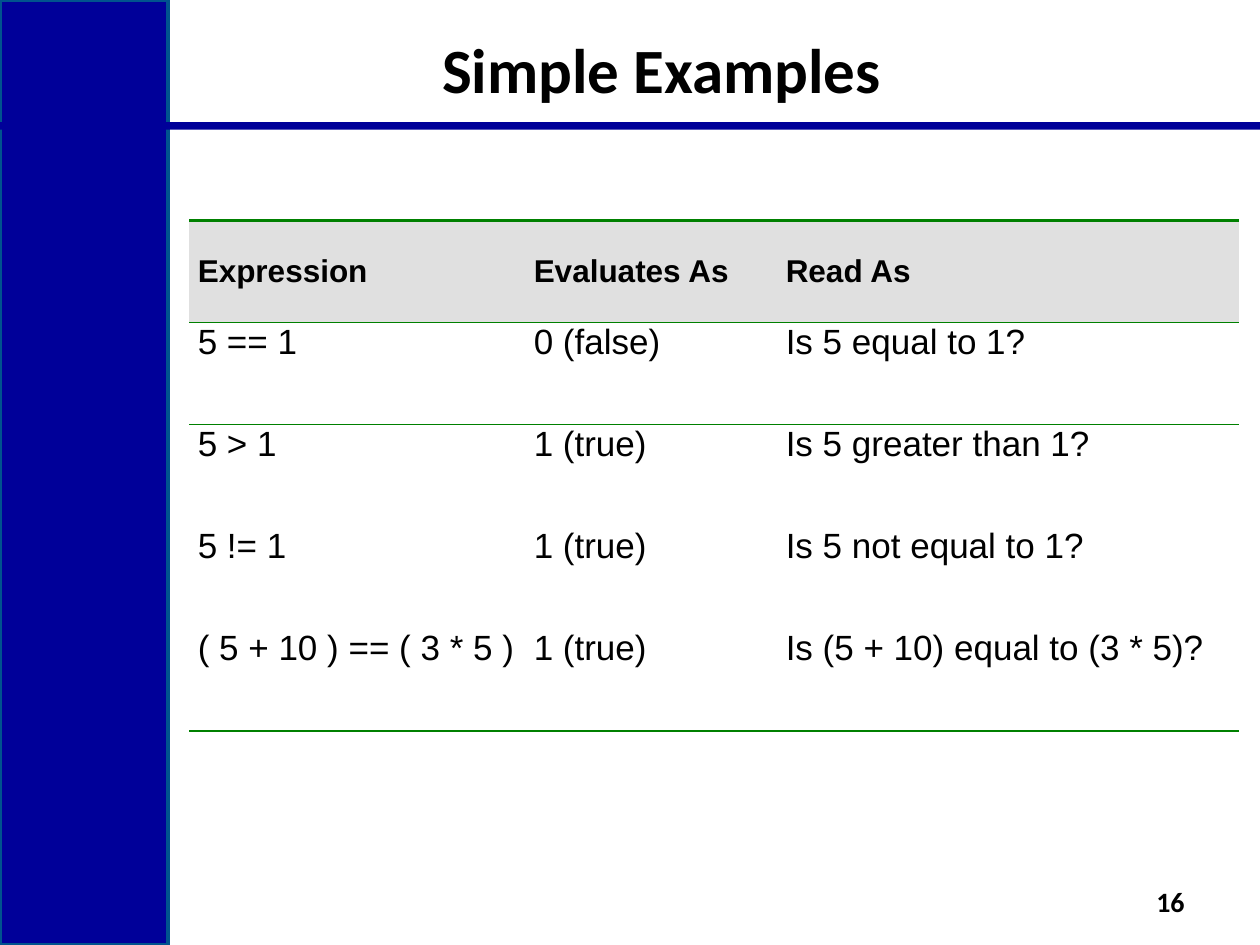
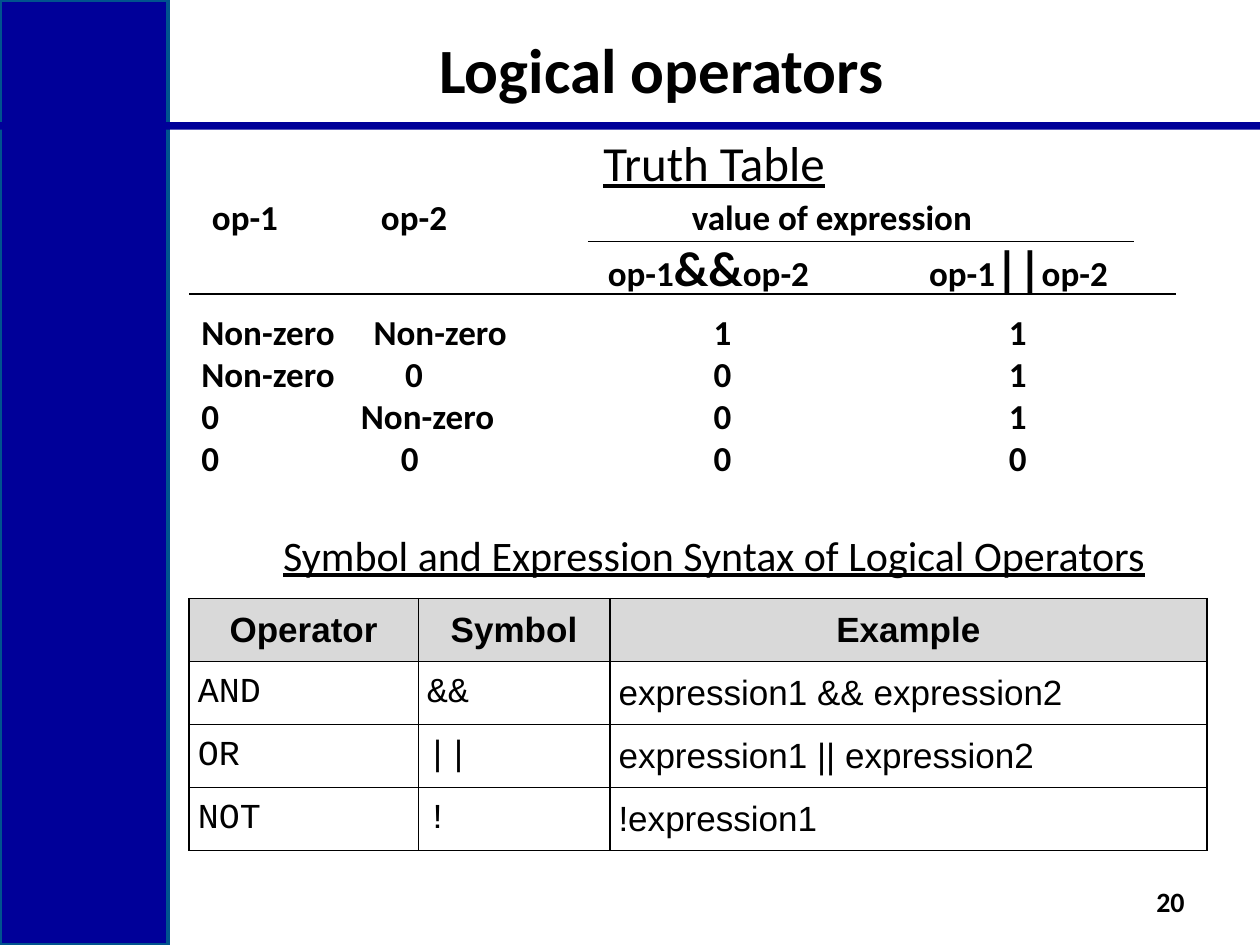
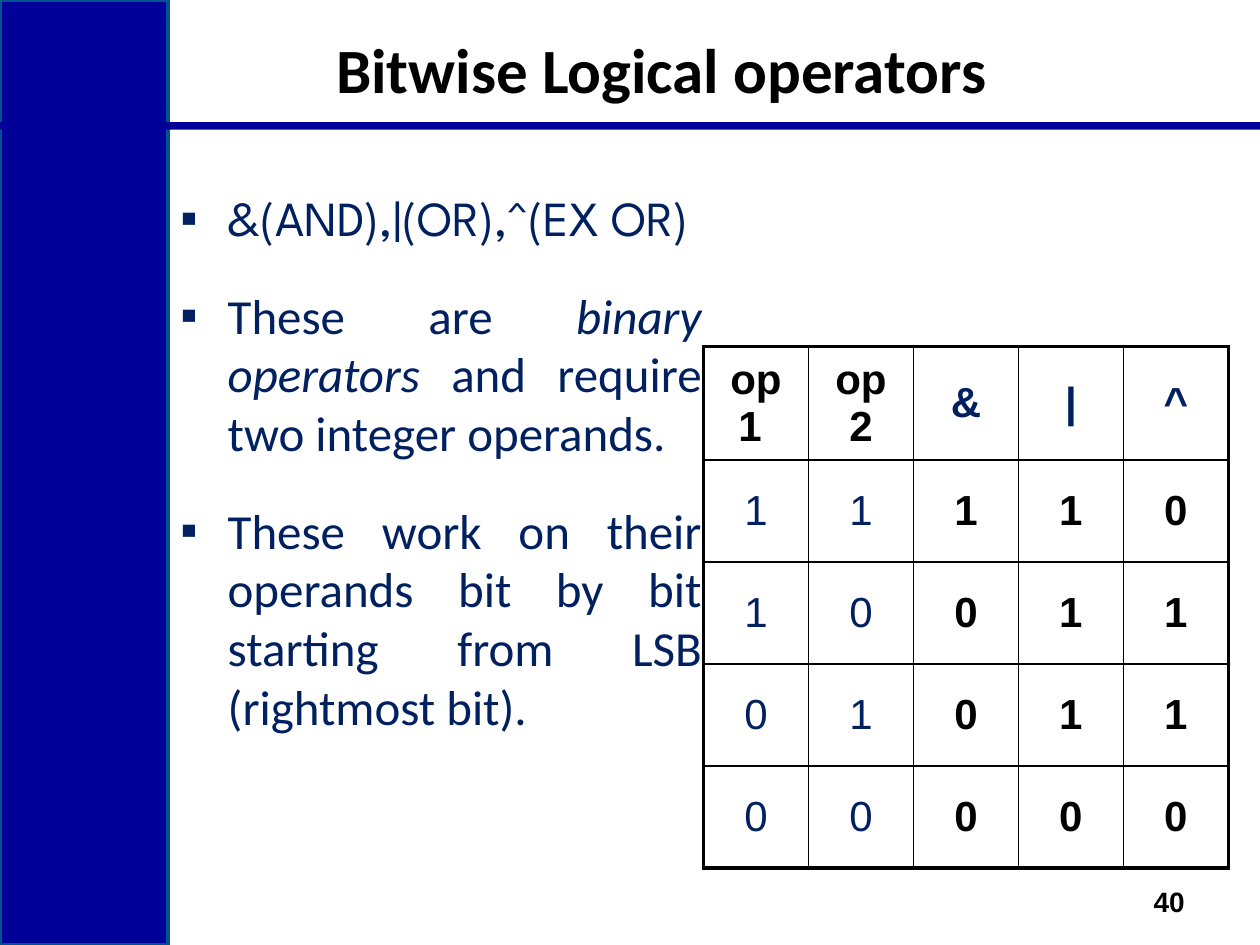
from pptx import Presentation
from pptx.dml.color import RGBColor as Rgb
from pptx.enum.shapes import MSO_CONNECTOR as Link, MSO_SHAPE as Shape
from pptx.enum.text import MSO_ANCHOR as Anchor, PP_ALIGN as Align
from pptx.oxml.ns import qn
from pptx.util import Inches, Pt
from lxml.etree import SubElement as Sub

HUE = {"band": "000099", "edge": "00538E", "ink": "000000", "navy": "002060",
       "green": "008000", "head": "E0E0E0", "gray": "D9D9D9"}
UNIT = Inches(1) / 12  # the slide is a grid of 120 columns by 90 rows
WIDE, HIGH = 120, 90
PLAIN = "{2D5ABB26-0587-4C30-8999-92F81FD0307C}"  # table style without grid


def write(slide, box, paras, size, font="Calibri", bold=True, align=Align.LEFT,
          anchor=Anchor.TOP, hue="ink"):
    """Add a text box; a paragraph is a string or a list of run strings."""
    area = slide.shapes.add_textbox(*[int(n * UNIT) for n in box])
    frame = area.text_frame
    frame.word_wrap = True
    frame.vertical_anchor = anchor
    for i, bits in enumerate(paras):
        para = frame.paragraphs[0] if i == 0 else frame.add_paragraph()
        para.alignment = align
        if isinstance(bits, str):
            para.text = bits
        else:
            for bit in bits:
                para.add_run().text = bit
        for run in para.runs:
            run.font.size, run.font.name, run.font.bold = Pt(size), font, bold
            run.font.color.rgb = Rgb.from_string(HUE[hue])
    return frame.paragraphs


def grid(slide, spot, cols, rows, data, look, edges, pad):
    """Add a table; look gives a cell's style, edges its border widths."""
    left, top = [int(n * UNIT) for n in spot]
    frame = slide.shapes.add_table(len(rows), len(cols), left, top,
                                   int(sum(cols) * UNIT), int(sum(rows) * UNIT))
    table = frame.table
    table.first_row = table.horz_banding = False
    table._tbl.tblPr.find(qn("a:tableStyleId")).text = PLAIN
    for c, n in enumerate(cols):
        table.columns[c].width = int(n * UNIT)
    for r, n in enumerate(rows):
        table.rows[r].height = int(n * UNIT)
        for c, words in enumerate(data[r]):
            cell = table.cell(r, c)
            size, font, bold, hue, align, anchor, fill = look(r, c)
            cell.margin_left = cell.margin_right = Inches(pad[0])
            cell.margin_top = cell.margin_bottom = Inches(pad[1])
            cell.vertical_anchor = anchor
            cell.text_frame.text = words
            para = cell.text_frame.paragraphs[0]
            para.alignment = align
            text = para.runs[0].font
            text.size, text.name, text.bold = Pt(size), font, bold
            text.color.rgb = Rgb.from_string(HUE[hue])
            # borders come before the fill in a cell's properties
            tone, sides = edges(r, c)
            for side in "LRTB":
                if side in sides:
                    line = Sub(cell._tc.get_or_add_tcPr(), qn("a:ln" + side),
                               w=str(Pt(sides[side])))
                    Sub(Sub(line, qn("a:solidFill")), qn("a:srgbClr"), val=HUE[tone])
            if fill:
                cell.fill.solid()
                cell.fill.fore_color.rgb = Rgb.from_string(HUE[fill])
            else:
                cell.fill.background()


deck = Presentation()
deck.slide_width, deck.slide_height = int(WIDE * UNIT), int(HIGH * UNIT)

# Shared bands, title and slide number
slides = []
for title, num, face in [("Simple Examples", "16", "Calibri"),
                         ("Logical operators", "20", "Calibri"),
                         ("Bitwise Logical operators", "40", "Arial")]:
    slide = deck.slides.add_slide(deck.slide_layouts[6])
    for box in [(0, 0, 16, HIGH), (0, 11.64, WIDE, 0.72)]:
        band = slide.shapes.add_shape(Shape.RECTANGLE, *[int(n * UNIT) for n in box])
        band.shadow.inherit = False
        band.fill.solid()
        band.fill.fore_color.rgb = Rgb.from_string(HUE["band"])
        if box[3] == HIGH:
            band.line.color.rgb = Rgb.from_string(HUE["edge"])
            band.line.width = Pt(2)
        else:
            band.line.fill.background()
    write(slide, (16, 2, 94, 9), [title], 36, align=Align.CENTER, anchor=Anchor.MIDDLE)
    write(slide, (105, 83.4, 9, 4.8), [num], 16, face, align=Align.RIGHT,
          anchor=Anchor.MIDDLE)
    slides.append(slide)
simple, logic, bitwise = slides

# Simple examples: ruled table
tests = [("Expression", "Evaluates As", "Read As"),
         ("5 == 1", "0 (false)", "Is 5 equal to 1?"),
         ("5 > 1", "1 (true)", "Is 5 greater than 1?"),
         ("5 != 1", "1 (true)", "Is 5 not equal to 1?"),
         ("( 5 + 10 ) == ( 3 * 5 )", "1 (true)", "Is (5 + 10) equal to (3 * 5)?")]
rules = {0: {"T": 1.5, "B": 1}, 1: {"T": 1}, 4: {"B": 1.5}}
grid(simple, (18, 21), [32, 24, 44], [9.72] * 5, tests,
     lambda r, c: (20 if r else 18, "Arial", r == 0, "ink", Align.LEFT,
                   Anchor.TOP if r else Anchor.MIDDLE, None if r else "head"),
     lambda r, c: ("green", rules.get(r, {})), (0.07, 0))

# Logical operators: headings
for box, words, size in [
        ((16, 12, 104, 6), "Truth Table", 28),
        ((16, 49.8, 104, 6), "Symbol and Expression Syntax of Logical Operators", 24)]:
    head = write(logic, box, [words], size, bold=False, align=Align.CENTER)
    head[0].runs[0].font.underline = True

# Logical operators: truth table set on tab stops
names = write(logic, (16, 18, 104, 10.9),
              ["\top-1\top-2\tvalue of expression",
               ["\top-1", "&&", "op-2\top-1", "||", "op-2"]], 20)
for run in names[1].runs[1::2]:
    run.font.size = Pt(28)
values = write(logic, (18, 29, 85, 17.4),
               ["Non-zero\tNon-zero\t1\t1", "Non-zero\t0\t0\t1",
                "0\tNon-zero\t0\t1", "0\t0\t0\t0"], 20)
stops = [(3, 19.1, 48.7), (40.7, 71.3)]
stops += [(n, 48.8, 76.9) for n in (16.4, 19.4, 15.2, 19)]
for para, marks in zip(names + values, stops):
    tabs = Sub(para._p.get_or_add_pPr(), qn("a:tabLst"))
    for n in marks:
        Sub(tabs, qn("a:tab"), pos=str(int(n * UNIT)), algn="l")
for start, end, row in [(56, 108, 23), (18, 112, 28)]:
    rule = logic.shapes.add_connector(
        Link.STRAIGHT, *[int(n * UNIT) for n in (start, row, end, row)])
    rule.line.color.rgb = Rgb.from_string(HUE["ink"])
    rule.line.width = Pt(0.75)
    Sub(rule._element.spPr, qn("a:effectLst"))

# Logical operators: symbol table
signs = [("Operator", "Symbol", "Example"),
         ("AND", "&&", "expression1 && expression2"),
         ("OR", "||", "expression1 || expression2"),
         ("NOT", "!", "!expression1")]
grid(logic, (18, 57), [21.84, 18.24, 56.88], [6] * 4, signs,
     lambda r, c: (20, "Courier New" if r and c < 2 else "Arial", r == 0, "ink",
                   Align.LEFT if r else Align.CENTER, Anchor.MIDDLE,
                   None if r else "gray"),
     lambda r, c: ("ink", dict.fromkeys("LRTB", 1)), (0.07, 0))

# Bitwise operators: bit table with a heavy frame
pairs = [(1, 1), (1, 0), (0, 1), (0, 0)]
bits = [("op1 ", "op2", "&", "|", "^")]
bits += [[str(n) for n in (a, b, a & b, a | b, a ^ b)] for a, b in pairs]
grid(bitwise, (67, 33), [10] * 5, [10.8] + [9.72] * 4, bits,
     lambda r, c: (24, "Arial", r == 0 or c > 1,
                   "navy" if (r == 0) == (c > 1) else "ink",
                   Align.CENTER, Anchor.MIDDLE, None),
     lambda r, c: ("ink", {"L": 1 if c else 2.25, "R": 2.25 if c == 4 else 1,
                           "T": 1 if r else 2.25, "B": 2.25 if r == 4 else 1}),
     (0.19, 0.05))

# Bitwise operators: bullets
points = write(bitwise, (16, 17.3, 52, 65),
               ["&(AND),|(OR),^(EX OR)",
                ["These are ", "binary operators ", "and require two integer operands."],
                "These work on their operands bit by bit starting from LSB (rightmost bit)."],
               28, bold=False, align=Align.JUSTIFY, hue="navy")
points[0].runs[0].font.name = "League Spartan"
points[1].runs[1].font.italic = True
for i, para in enumerate(points):
    props = para._p.get_or_add_pPr()
    props.set("marL", str(int(4.5 * UNIT)))
    props.set("indent", str(int(-4.5 * UNIT)))
    Sub(props, qn("a:buFont"), typeface="Arial")
    Sub(props, qn("a:buChar"), char="▪")
    if i:
        para.space_before = Pt(22)

deck.save("out.pptx")
